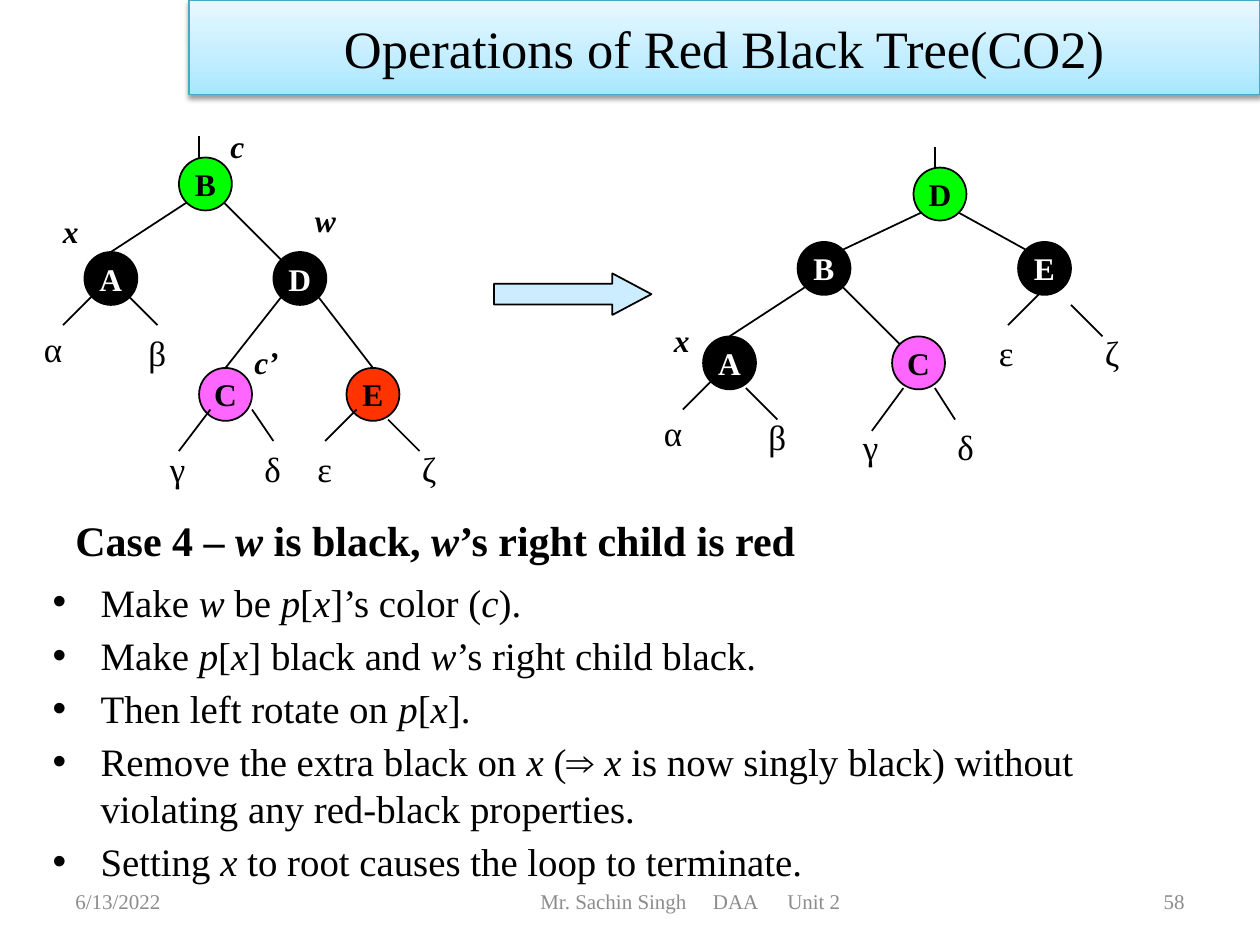
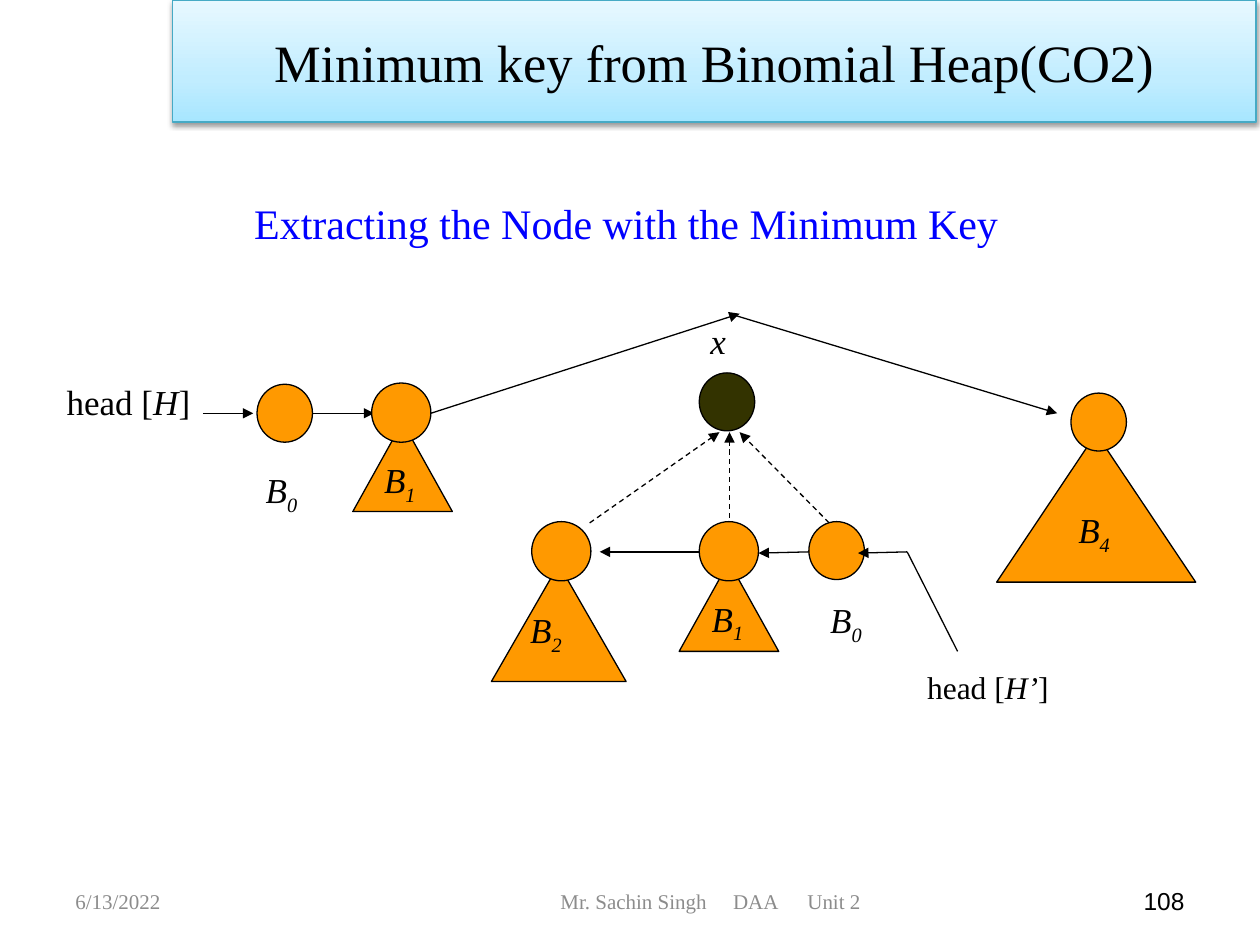
from copy import deepcopy
from dataclasses import dataclass
from typing import Any

from lxml import etree
from pptx import Presentation
from pptx import util as u
from pptx.dml.color import RGBColor
from pptx.enum import dml, shapes, text
from pptx.oxml import ns

ROMAN = "Times New Roman"
BLACK, WHITE, GREY, BLUE = "000000", "FFFFFF", "8C8C8C", "0000FF"
GREEN, PINK, RED, SKY = "00FF00", "FF66FF", "FF3300", "CCECFF"
ORANGE, OLIVE, TEAL = "FF9900", "333300", "46AAC5"
FADE = [(0, "A7E6FF"), (0.35, "C1EDFF"), (1, "E7F8FF")]
SHAPE = shapes.MSO_SHAPE
LEFT, MID, RIGHT = text.PP_ALIGN.LEFT, text.PP_ALIGN.CENTER, text.PP_ALIGN.RIGHT
Box = tuple[float, float, float, float]
SIDE = 0.42
SITES = {"n": (0, -1), "nw": (-0.7, -0.7), "ne": (0.7, -0.7),
         "sw": (-0.7, 0.7), "se": (0.7, 0.7)}
WIDTHS = {"α": 0.38, "β": 0.35, "γ": 0.32, "δ": 0.34, "ε": 0.32, "ζ": 0.34,
          "_x_": 0.37, "_w_": 0.42, "_c_": 0.35, "_c’_": 0.46}


@dataclass
class Node:
    name: str
    x: float
    y: float
    fill: str = BLACK

    def site(self, key: str) -> tuple[float, float]:
        dx, dy = SITES[key]
        half = SIDE / 2
        return self.x + half * (1 + dx), self.y + half * (1 + dy)


@dataclass
class Leaf:
    sign: str
    x: float
    y: float
    stub: Box


@dataclass
class Heap:
    rank: int
    ball: Box
    label: tuple[float, float]
    body: Box | None = None


def color(code: str) -> RGBColor:
    return RGBColor.from_string(code)


def sub(parent: Any, tag: str, **attrs: str) -> Any:
    return etree.SubElement(parent, ns.qn(tag), attrs)


def write(shape: Any, words: str, size: float = 18, ink: str = BLACK, face: str = ROMAN,
          bold: bool = False, align: Any = LEFT, middle: bool = False, wrap: bool = True,
          grow: bool = False, bullet: bool = False, gap: float = 0,
          tabs: tuple[float, ...] = ()) -> None:
    frame = shape.text_frame
    frame.word_wrap = wrap
    frame.auto_size = text.MSO_AUTO_SIZE.SHAPE_TO_FIT_TEXT if grow else text.MSO_AUTO_SIZE.NONE
    frame.vertical_anchor = text.MSO_ANCHOR.MIDDLE if middle else text.MSO_ANCHOR.TOP
    for row, line in enumerate(words.split("\n")):
        para = frame.add_paragraph() if row else frame.paragraphs[0]
        para.alignment = align
        if row and gap:
            para.space_before = u.Pt(gap)
        props = para._p.get_or_add_pPr()
        if bullet:
            props.set("marL", str(u.Inches(0.38)))
            props.set("indent", str(u.Inches(-0.38)))
            sub(props, "a:buFont", typeface="Arial")
            sub(props, "a:buChar", char="•")
        if tabs:
            stops = sub(props, "a:tabLst")
            for tab in tabs:
                sub(stops, "a:tab", pos=str(u.Inches(tab)), algn="l")
        for i, part in enumerate(line.split("_")):
            for j, bit in enumerate(part.split("~")):
                if not bit:
                    continue
                run = para.add_run()
                run.text = bit
                font = run.font
                font.size, font.name, font.bold = u.Pt(size), face, bold
                font.italic = i % 2 == 1
                font.color.rgb = color(ink)
                if j:
                    run._r.get_or_add_rPr().set("baseline", "-25000")


def put(slide: Any, box: Box, words: str, **look: Any) -> None:
    write(slide.shapes.add_textbox(*map(u.Inches, box)), words, **look)


def label(slide: Any, x: float, y: float, wide: float, words: str, **look: Any) -> None:
    put(slide, (x, y, wide, 0.43), words, wrap=False, grow=True, **look)


def draw(slide: Any, kind: Any, box: Box, fill: str, line: str = BLACK,
         width: float = 0.75) -> Any:
    shape = slide.shapes.add_shape(kind, *map(u.Inches, box))
    shape.shadow.inherit = False
    shape.fill.solid()
    shape.fill.fore_color.rgb = color(fill)
    shape.line.color.rgb = color(line)
    shape.line.width = u.Pt(width)
    return shape


def join(slide: Any, ends: Box, width: float = 0.75, arrow: bool = False,
         dash: bool = False) -> None:
    link = slide.shapes.add_connector(shapes.MSO_CONNECTOR.STRAIGHT, *map(u.Inches, ends))
    link.line.color.rgb = color(BLACK)
    link.line.width = u.Pt(width)
    if dash:
        link.line.dash_style = dml.MSO_LINE.DASH
    if arrow:
        sub(link.line._get_or_add_ln(), "a:tailEnd", type="triangle")
    sub(link._element.spPr, "a:effectLst")


def band(slide: Any, box: Box, words: str) -> None:
    shape = draw(slide, SHAPE.RECTANGLE, box, SKY, TEAL)
    shape.fill.gradient()
    shape.fill.gradient_angle = 90
    stops = shape._element.xpath(".//a:gsLst")[0]
    stops.append(deepcopy(stops[0]))
    for stop, (place, code) in zip(shape.fill.gradient_stops, FADE):
        stop.position = place
        stop.color.rgb = color(code)
    shade = sub(shape._element.spPr.find(ns.qn("a:effectLst")), "a:outerShdw",
                blurRad=str(u.Pt(3.1)), dist=str(u.Pt(1.6)), dir="5400000", rotWithShape="0")
    sub(sub(shade, "a:srgbClr", val=BLACK), "a:alpha", val="38000")
    write(shape, words, size=30, align=MID, middle=True)


def foot(slide: Any, left: float, page: str, **look: Any) -> None:
    base = {"size": 12, "ink": GREY, "middle": True}
    put(slide, (0.5, 6.95, 2.33, 0.4), "6/13/2022", **base)
    put(slide, (left, 6.95, 2.7, 0.4), "Mr. Sachin Singh\tDAA\tUnit 2", tabs=(1.37, 1.96), **base)
    put(slide, (7.17, 6.95, 2.33, 0.4), page, align=RIGHT, **(base | look))


def tree(slide: Any, nodes: list[Node], links: list[str], leaves: list[Leaf],
         stem: Box, marks: list[tuple[str, float, float]]) -> None:
    named = {node.name: node for node in nodes}
    for node in nodes:
        ball = draw(slide, SHAPE.OVAL, (node.x, node.y, SIDE, SIDE), node.fill, width=1)
        write(ball, node.name, ink=WHITE if node.fill == BLACK else BLACK, bold=True,
              align=MID, middle=True, wrap=False)
    for link in links:
        top, out, low, into = link.split()
        join(slide, named[top].site(out) + named[low].site(into), 1)
    for leaf in leaves:
        join(slide, leaf.stub, 1)
        label(slide, leaf.x, leaf.y, WIDTHS[leaf.sign], leaf.sign, size=20)
    join(slide, stem, 1)
    for sign, x, y in marks:
        label(slide, x, y, WIDTHS[sign], sign, bold=True)


def cases(slide: Any) -> None:
    put(slide, (0.5, 3.98, 9.5, 0.61), "Case 4 – _w_ is black, _w_’s right child is red",
        size=24, bold=True, middle=True)
    put(slide, (0.32, 4.54, 9.18, 2.31), "\n".join([
        "Make _w _be _p_[_x_]’s color (_c_).",
        "Make _p_[_x_] black and _w_’s right child black.",
        "Then left rotate on _p_[_x_].",
        "Remove the extra black on _x _(⇒ _x _is now singly black) without"
        " violating any red-black properties.",
        "Setting _x _to root causes the loop to terminate."]),
        size=22.2, bullet=True, gap=3.8)
    tree(slide,
         [Node("B", 1.42, 1.25, GREEN), Node("A", 0.67, 2), Node("D", 2.17, 2),
          Node("C", 1.58, 2.92, PINK), Node("E", 2.75, 2.92, RED)],
         ["B sw A n", "B se D nw", "D sw C n", "D se E n"],
         [Leaf("α", 0.25, 2.55, (0.75, 2.33, 0.5, 2.58)),
          Leaf("β", 1.08, 2.58, (1, 2.33, 1.25, 2.58)),
          Leaf("γ", 1.25, 3.5, (1.67, 3.25, 1.42, 3.58)),
          Leaf("δ", 2, 3.5, (2, 3.25, 2.17, 3.5)),
          Leaf("ε", 2.42, 3.5, (2.83, 3.25, 2.58, 3.5)),
          Leaf("ζ", 3.25, 3.5, (3.08, 3.33, 3.33, 3.58))],
         (1.58, 1.08, 1.58, 1.25),
         [("_x_", 0.4, 1.63), ("_w_", 2.4, 1.55), ("_c_", 1.73, 0.96), ("_c’_", 1.92, 2.67)])
    tree(slide,
         [Node("D", 7.25, 1.33, GREEN), Node("B", 6.33, 1.92), Node("E", 8.08, 1.92),
          Node("A", 5.58, 2.67), Node("C", 7.08, 2.67, PINK)],
         ["D sw B ne", "D se E nw", "B sw A n", "B se C nw"],
         [Leaf("α", 5.17, 3.22, (5.67, 3, 5.42, 3.25)),
          Leaf("β", 6, 3.25, (5.92, 3.08, 6.17, 3.33)),
          Leaf("γ", 6.75, 3.33, (7.17, 3.08, 6.92, 3.42)),
          Leaf("δ", 7.5, 3.33, (7.42, 3.08, 7.58, 3.33)),
          Leaf("ε", 7.83, 2.58, (8.25, 2.33, 8, 2.58)),
          Leaf("ζ", 8.67, 2.58, (8.5, 2.42, 8.75, 2.67))],
         (7.42, 1.17, 7.42, 1.33),
         [("_x_", 5.25, 2.5)])
    arrow = draw(slide, SHAPE.RIGHT_ARROW, (3.92, 2.17, 1.25, 0.33), SKY, width=1)
    arrow.adjustments[1] = 0.94
    foot(slide, 4.19, "58")
    band(slide, (1.5, 0, 8.5, 0.75), "Operations of Red Black Tree(CO2)")


def heaps(slide: Any) -> None:
    put(slide, (0.26, 1.14, 9.42, 1.25), "Extracting the Node with the Minimum Key",
        size=24, ink=BLUE, align=MID, middle=True)
    for ends in [(1.61, 3.28, 2.01, 3.28), (2.48, 3.28, 2.97, 3.28),
                 (3.42, 3.28, 5.87, 2.49), (5.79, 2.49, 8.39, 3.28),
                 (5.55, 4.38, 4.76, 4.38), (6.42, 4.38, 6.02, 4.39)]:
        join(slide, ends, arrow=True)
    for ends in [(4.68, 4.15, 5.71, 3.43), (5.79, 4.11, 5.79, 3.43), (6.63, 4.2, 5.87, 3.43)]:
        join(slide, ends, arrow=True, dash=True)
    for heap in [Heap(0, (2.04, 3.05, 0.44, 0.46), (2.01, 3.67)),
                 Heap(1, (2.95, 3.04, 0.47, 0.47), (2.95, 3.59), (2.8, 3.35, 0.79, 0.71)),
                 Heap(2, (4.22, 4.14, 0.47, 0.47), (4.11, 4.78), (3.9, 4.48, 1.07, 0.93)),
                 Heap(1, (5.55, 4.14, 0.47, 0.47), (5.55, 4.69), (5.39, 4.46, 0.79, 0.71)),
                 Heap(0, (6.42, 4.14, 0.44, 0.46), (6.49, 4.7)),
                 Heap(4, (8.5, 3.12, 0.44, 0.46), (8.46, 3.99), (7.91, 3.44, 1.58, 1.18))]:
        if heap.body:
            draw(slide, SHAPE.ISOSCELES_TRIANGLE, heap.body, ORANGE)
        draw(slide, SHAPE.OVAL, heap.ball, ORANGE)
        label(slide, *heap.label, 0.46, f"_B~{heap.rank}_", size=20)
    draw(slide, SHAPE.OVAL, (5.55, 2.96, 0.44, 0.46), OLIVE)
    label(slide, 5.54, 2.49, 0.32, "_x_", size=20)
    join(slide, (7.2, 4.38, 6.81, 4.39), arrow=True)
    join(slide, (7.2, 4.38, 7.6, 5.17))
    label(slide, 0.43, 2.97, 1.18, "head [_H_]", size=20)
    label(slide, 7.26, 5.25, 1.17, "head [_H’_]")
    foot(slide, 4.35, "108", size=14, ink=BLACK, face="Arial")
    band(slide, (1.37, 0, 8.6, 0.97), "Minimum key from Binomial Heap(CO2)")


def main() -> None:
    deck = Presentation()
    deck.slide_width, deck.slide_height = u.Inches(10), u.Inches(7.5)
    for fill in (cases, heaps):
        fill(deck.slides.add_slide(deck.slide_layouts[6]))
    deck.save("out.pptx")


if __name__ == "__main__":
    main()
